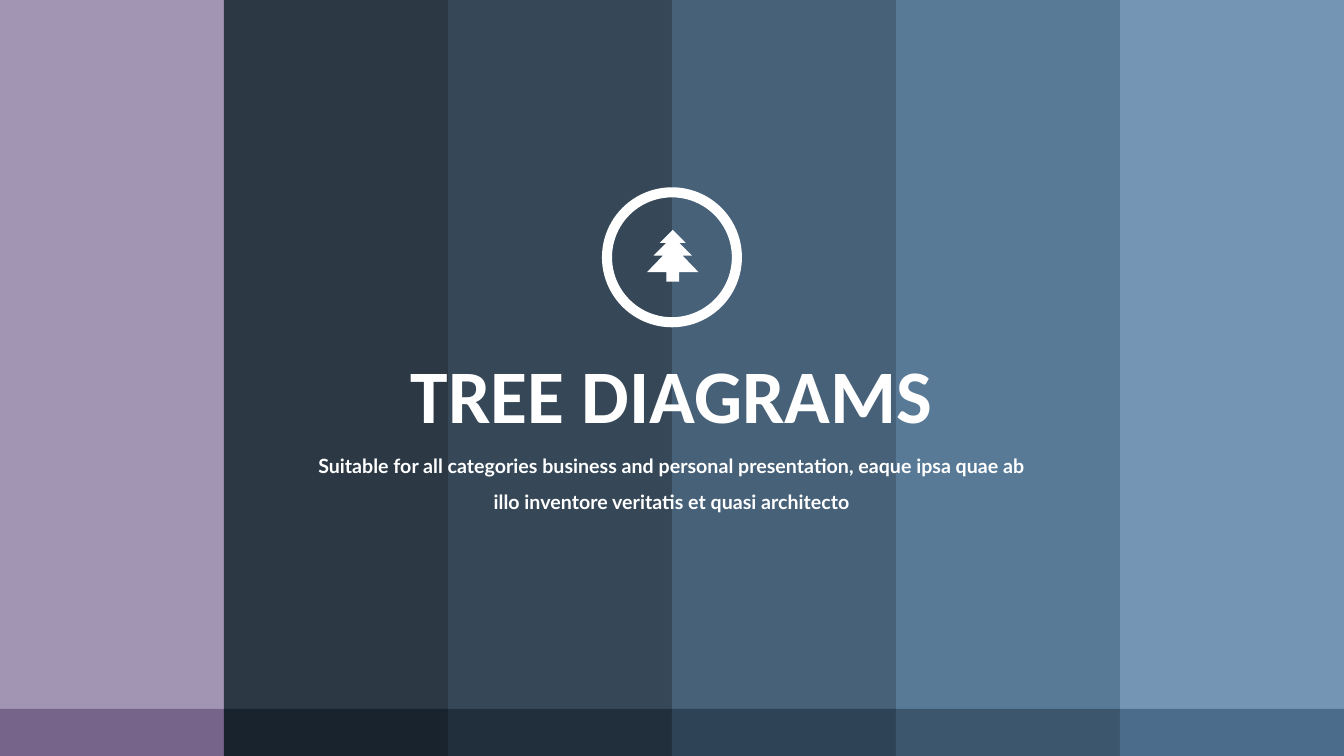
from dataclasses import dataclass

import pptx
import pptx.dml.color
import pptx.enum.shapes
import pptx.enum.text
import pptx.util
from lxml import etree
from pptx.oxml.ns import qn

Pt = pptx.util.Pt
Kind = pptx.enum.shapes.MSO_SHAPE
Fit = pptx.enum.text.MSO_AUTO_SIZE


@dataclass(frozen=True)
class Theme:
    white: str = "FFFFFF"
    bands: tuple = ("9E90AF", "212F3C", "2C3F50", "3E5972", "507392", "6D90AF")
    feet: tuple = ("76648B", "19232D", "212F3C", "2E4356", "3C566E", "4B6C8A")
    alpha: int = 95
    head: int = 54
    body: int = 14
    bold: str = "Calibri"
    sans: str = "Lato"


THEME = Theme()
WIDE, HIGH, FOOT = 960, 540, 33.6
# Right half of the tree: distance from its axis, then height on the slide
HALF = ((0, 164.2), (9.2, 173.5), (4.6, 173.5), (13.7, 182.6), (7, 182.6),
        (18.4, 194.4), (4.6, 194.4), (4.6, 201.1))


def rgb(code):
    return pptx.dml.color.RGBColor.from_string(code)


def paint(shape, code, alpha=100):
    """Give a flat fill, with alpha in percent, and no line or shadow."""
    shape.shadow.inherit = False
    shape.line.fill.background()
    shape.fill.solid()
    shape.fill.fore_color.rgb = rgb(code)
    if alpha < 100:
        color = shape.fill._xPr.find(".//" + qn("a:srgbClr"))
        etree.SubElement(color, qn("a:alpha")).set("val", str(alpha * 1000))


def add_row(slide, codes, top, high, alpha=100):
    """Fill the slide's width with equal blocks, one for each colour."""
    step = WIDE / len(codes)
    for i, code in enumerate(codes):
        block = slide.shapes.add_shape(
            Kind.RECTANGLE, Pt(i * step), Pt(top), Pt(step), Pt(high))
        paint(block, code, alpha)


def add_ring(slide, left, top, size, thick):
    ring = slide.shapes.add_shape(
        Kind.DONUT, Pt(left), Pt(top), Pt(size), Pt(size))
    ring.adjustments[0] = thick / size
    paint(ring, THEME.white)


def add_tree(slide, axis):
    right = [(Pt(axis + x), Pt(y)) for x, y in HALF]
    left = [(Pt(axis - x), Pt(y)) for x, y in reversed(HALF[1:])]
    pen = slide.shapes.build_freeform(*right[0])
    pen.add_line_segments(right[1:] + left, close=True)
    paint(pen.convert_to_shape(), THEME.white)


def add_text(slide, text, box, face, size, wrap=True, lines=1.0):
    frame = slide.shapes.add_textbox(*map(Pt, box)).text_frame
    frame.word_wrap = wrap
    frame.auto_size = Fit.SHAPE_TO_FIT_TEXT
    para = frame.paragraphs[0]
    para.text = text
    para.alignment = pptx.enum.text.PP_ALIGN.CENTER
    para.line_spacing = lines
    para.font.name = face
    para.font.size = Pt(size)
    para.font.bold = True
    para.font.color.rgb = rgb(THEME.white)


def main():
    deck = pptx.Presentation()
    deck.slide_width, deck.slide_height = Pt(WIDE), Pt(HIGH)
    slide = deck.slides.add_slide(deck.slide_layouts[6])
    add_row(slide, THEME.bands, 0, HIGH, THEME.alpha)
    add_row(slide, THEME.feet, HIGH - FOOT, FOOT)
    add_text(slide, "TREE DIAGRAMS", (284.4, 244.8, 391, 72.7),
             THEME.bold, THEME.head, wrap=False)
    add_text(slide, "Suitable for all categories business and personal "
             "presentation, eaque ipsa quae ab illo inventore veritatis "
             "et quasi architecto", (210.2, 312.5, 539.3, 55.4),
             THEME.sans, THEME.body, lines=1.5)
    add_ring(slide, 430, 133.8, 100, 7.2)
    add_tree(slide, 480.6)
    deck.save("out.pptx")


if __name__ == "__main__":
    main()
